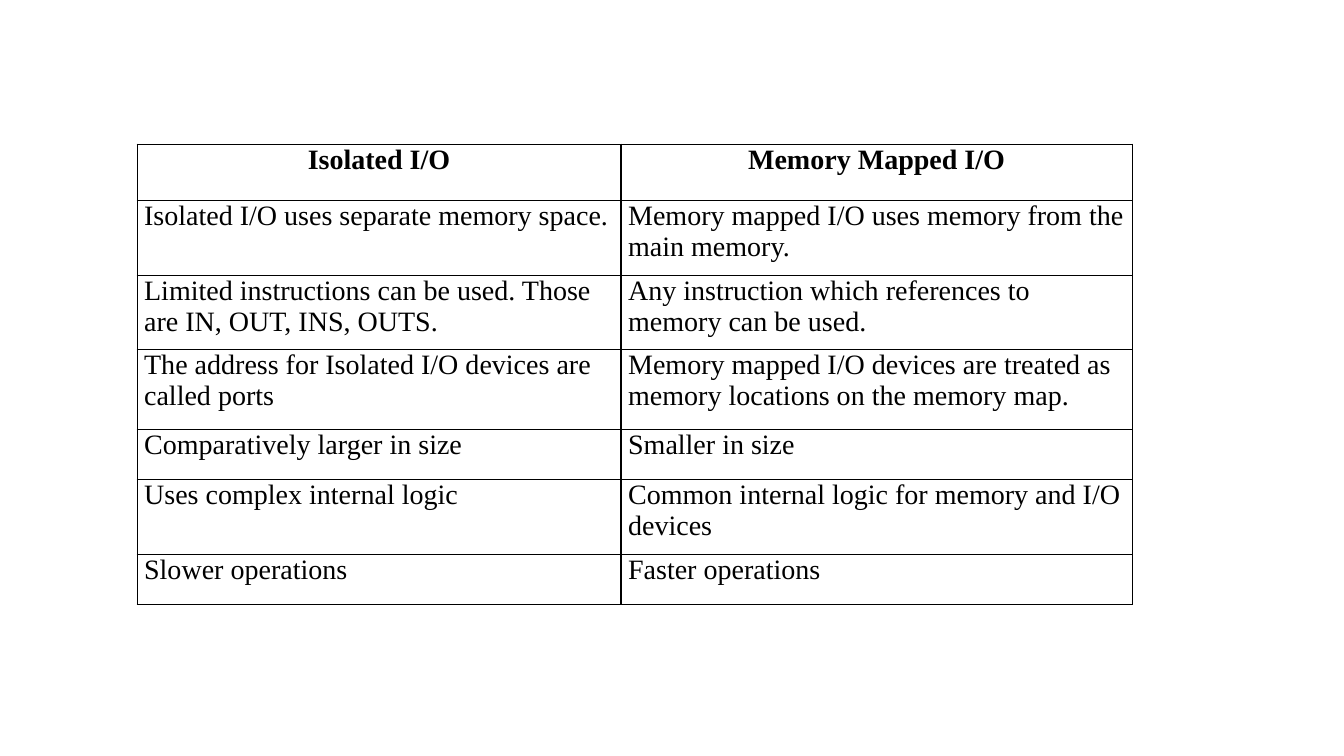
from lxml import etree
from pptx import Presentation
from pptx.dml.color import RGBColor
from pptx.enum import text
from pptx.oxml import ns
from pptx.util import Inches, Pt

COLORS = {"ink": "000000", "paper": "FFFFFF"}

COMPARISON = [
    ("Isolated I/O", "Memory Mapped I/O"),
    ("Isolated I/O uses separate memory space.",
     "Memory mapped I/O uses memory from the main memory."),
    ("Limited instructions can be used. Those are IN, OUT, INS, OUTS.",
     "Any instruction which references to memory can be used."),
    ("The address for Isolated I/O devices are called ports",
     "Memory mapped I/O devices are treated as memory locations on the memory map."),
    ("Comparatively larger in size", "Smaller in size"),
    ("Uses complex internal logic", "Common internal logic for memory and I/O devices"),
    ("Slower operations", "Faster operations"),
]
COLUMN_WIDTHS = [4.8, 5.07]
ROW_HEIGHTS = [0.56, 0.74, 0.74, 0.79, 0.5, 0.74, 0.5]


def write(cell, wording, bold=False, align=text.PP_ALIGN.LEFT):
    paragraph = cell.text_frame.paragraphs[0]
    paragraph.alignment = align
    run = paragraph.add_run()
    run.text = wording
    run.font.name = "Times New Roman"
    run.font.size = Pt(20)
    run.font.bold = bold
    run.font.color.rgb = RGBColor.from_string(COLORS["ink"])


def add_borders(cell):
    properties = cell._tc.get_or_add_tcPr()
    for side in ("a:lnL", "a:lnR", "a:lnT", "a:lnB"):
        line = etree.SubElement(properties, ns.qn(side), w=str(Pt(1)))
        fill = etree.SubElement(line, ns.qn("a:solidFill"))
        etree.SubElement(fill, ns.qn("a:srgbClr"), val=COLORS["ink"])


# Slide
deck = Presentation()
deck.slide_width, deck.slide_height = Inches(13.33), Inches(7.5)
slide = deck.slides.add_slide(deck.slide_layouts[6])

# Comparison table
comparison = slide.shapes.add_table(
    len(ROW_HEIGHTS), len(COLUMN_WIDTHS), Inches(1.36), Inches(1.43),
    Inches(sum(COLUMN_WIDTHS)), Inches(sum(ROW_HEIGHTS))).table
comparison.horz_banding = False
for column, width in zip(comparison.columns, COLUMN_WIDTHS):
    column.width = Inches(width)
for row, height in zip(comparison.rows, ROW_HEIGHTS):
    row.height = Inches(height)

# Cells, with a bold centred heading row
for r, wordings in enumerate(COMPARISON):
    heading = {"bold": True, "align": text.PP_ALIGN.CENTER} if r == 0 else {}
    for c, wording in enumerate(wordings):
        cell = comparison.cell(r, c)
        cell.margin_left = cell.margin_right = Inches(0.07)
        cell.margin_top = cell.margin_bottom = 0
        add_borders(cell)
        cell.fill.solid()
        cell.fill.fore_color.rgb = RGBColor.from_string(COLORS["paper"])
        write(cell, wording, **heading)

deck.save("out.pptx")
